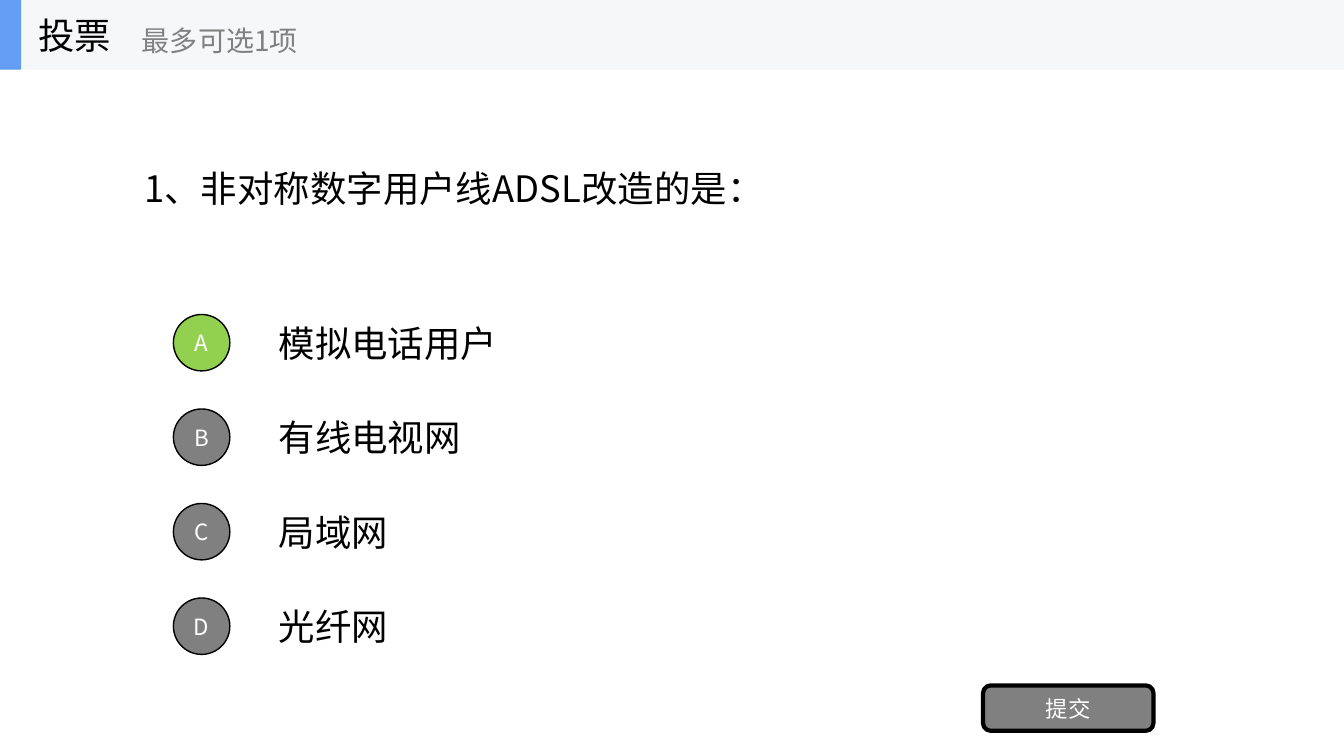
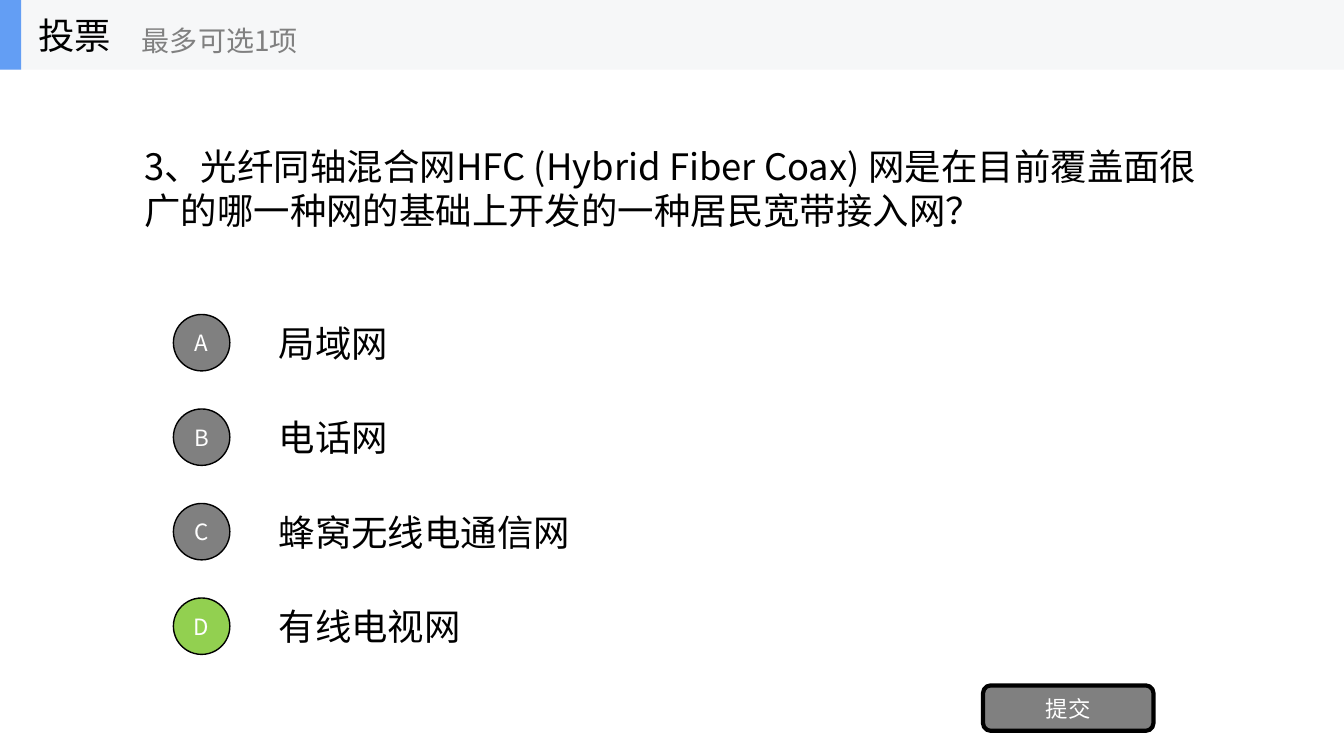
from lxml.etree import SubElement
from pptx import Presentation
from pptx.dml.color import RGBColor
from pptx.enum.shapes import MSO_SHAPE
from pptx.enum.text import MSO_ANCHOR, PP_ALIGN
from pptx.oxml.ns import qn
from pptx.util import Inches, Pt

WIDTH, HEIGHT = 13.33, 7.5
COLUMN, ROW = WIDTH / 10, HEIGHT / 8
BAND_HEIGHT = 0.69
OPTION_TOP, OPTION_HEIGHT = 3.05, 0.7
BADGE_SIZE = 0.56
FONT = "Noto Sans CJK SC"
COLORS = {
    "text": "000000",
    "light": "FFFFFF",
    "gray": "808080",
    "chosen": "92D050",
    "band": "F6F7F8",
    "accent": "639EF4",
}
QUESTIONS = [
    ("1、非对称数字用户线ADSL改造的是：",
     ["模拟电话用户", "有线电视网", "局域网", "光纤网"], "A"),
    ("3、光纤同轴混合网HFC (Hybrid Fiber Coax) 网是在目前覆盖面很广的哪一种网的基础上开发的一种居民宽带接入网？",
     ["局域网", "电话网", "蜂窝无线电通信网", "有线电视网"], "D"),
]


def color(name):
    return RGBColor.from_string(COLORS[name])


def write(shape, text, size, color_name, align=PP_ALIGN.LEFT, wrap=True):
    """Put one vertically centred paragraph into a shape."""
    frame = shape.text_frame
    frame.word_wrap = wrap
    frame.vertical_anchor = MSO_ANCHOR.MIDDLE
    paragraph = frame.paragraphs[0]
    paragraph.alignment = align
    run = paragraph.add_run()
    run.text = text
    run.font.size = Pt(size)
    run.font.color.rgb = color(color_name)
    run.font.name = FONT
    SubElement(run.font._element, qn("a:ea"), typeface=FONT)


def add_text(shapes, box, text, size=26, color_name="text", wrap=True):
    shape = shapes.add_textbox(*map(Inches, box))
    write(shape, text, size, color_name, wrap=wrap)


def add_block(shapes, kind, box, fill, line_width=0):
    shape = shapes.add_shape(kind, *map(Inches, box))
    shape.shadow.inherit = False
    shape.fill.solid()
    shape.fill.fore_color.rgb = color(fill)
    if line_width:
        shape.line.color.rgb = color("text")
        shape.line.width = Pt(line_width)
    else:
        shape.line.fill.background()
    return shape


def add_control(shapes, kind, box, fill, line_width, label):
    """Add an outlined shape with a centred white label."""
    shape = add_block(shapes, kind, box, fill, line_width)
    frame = shape.text_frame
    frame.margin_left = frame.margin_right = 0
    frame.margin_top = frame.margin_bottom = 0
    write(shape, label, 16, "light", PP_ALIGN.CENTER)


def add_header(slide):
    shapes = slide.shapes.add_group_shape().shapes
    add_block(shapes, MSO_SHAPE.RECTANGLE, (0, 0, WIDTH, BAND_HEIGHT), "band")
    add_block(shapes, MSO_SHAPE.RECTANGLE, (0, 0, 0.21, BAND_HEIGHT), "accent")
    add_text(shapes, (0.28, 0, 2.08, BAND_HEIGHT), "投票", wrap=False)
    add_text(shapes, (1.31, 0.12, 2.5, 0.56), "最多可选1项", 20, "gray", wrap=False)


def add_options(slide, options, chosen):
    inset = (OPTION_HEIGHT - BADGE_SIZE) / 2
    for index, (letter, option) in enumerate(zip("ABCD", options)):
        top = OPTION_TOP + index * ROW
        add_text(slide.shapes, (2 * COLUMN, top, 7 * COLUMN, OPTION_HEIGHT), option)
        add_control(slide.shapes, MSO_SHAPE.OVAL,
                    (1.72, top + inset, BADGE_SIZE, BADGE_SIZE),
                    "chosen" if letter == chosen else "gray", 1, letter)


def add_poll(presentation, question, options, chosen):
    slide = presentation.slides.add_slide(presentation.slide_layouts[6])
    add_text(slide.shapes, (COLUMN, BAND_HEIGHT, 8 * COLUMN, 2.5 * ROW), question)
    add_options(slide, options, chosen)
    add_control(slide.shapes, MSO_SHAPE.ROUNDED_RECTANGLE,
                (9.75, 6.8, 1.69, 0.45), "gray", 3, "提交")
    add_header(slide)


def main():
    presentation = Presentation()
    presentation.slide_width = Inches(WIDTH)
    presentation.slide_height = Inches(HEIGHT)
    for question, options, chosen in QUESTIONS:
        add_poll(presentation, question, options, chosen)
    presentation.save("out.pptx")


if __name__ == "__main__":
    main()
